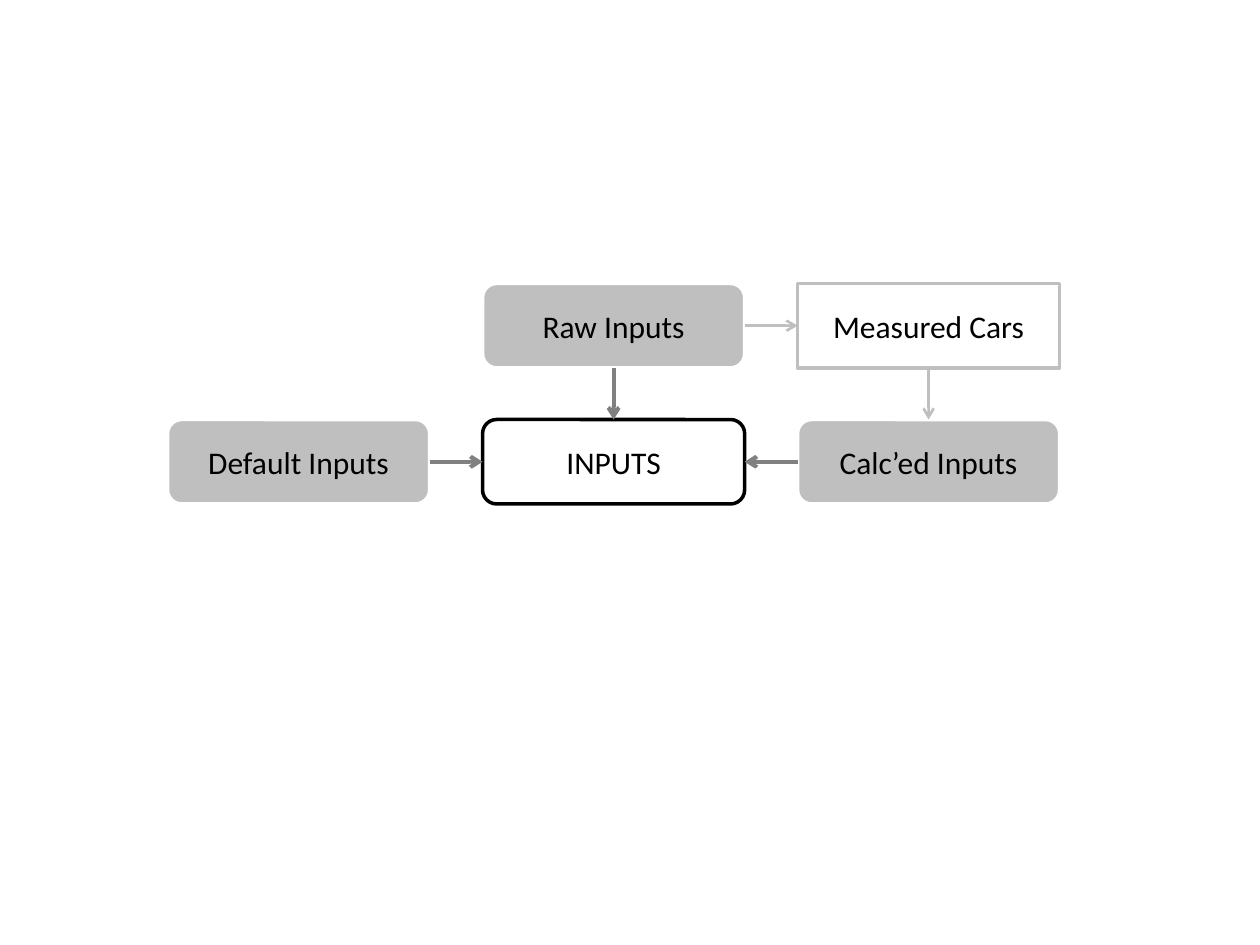
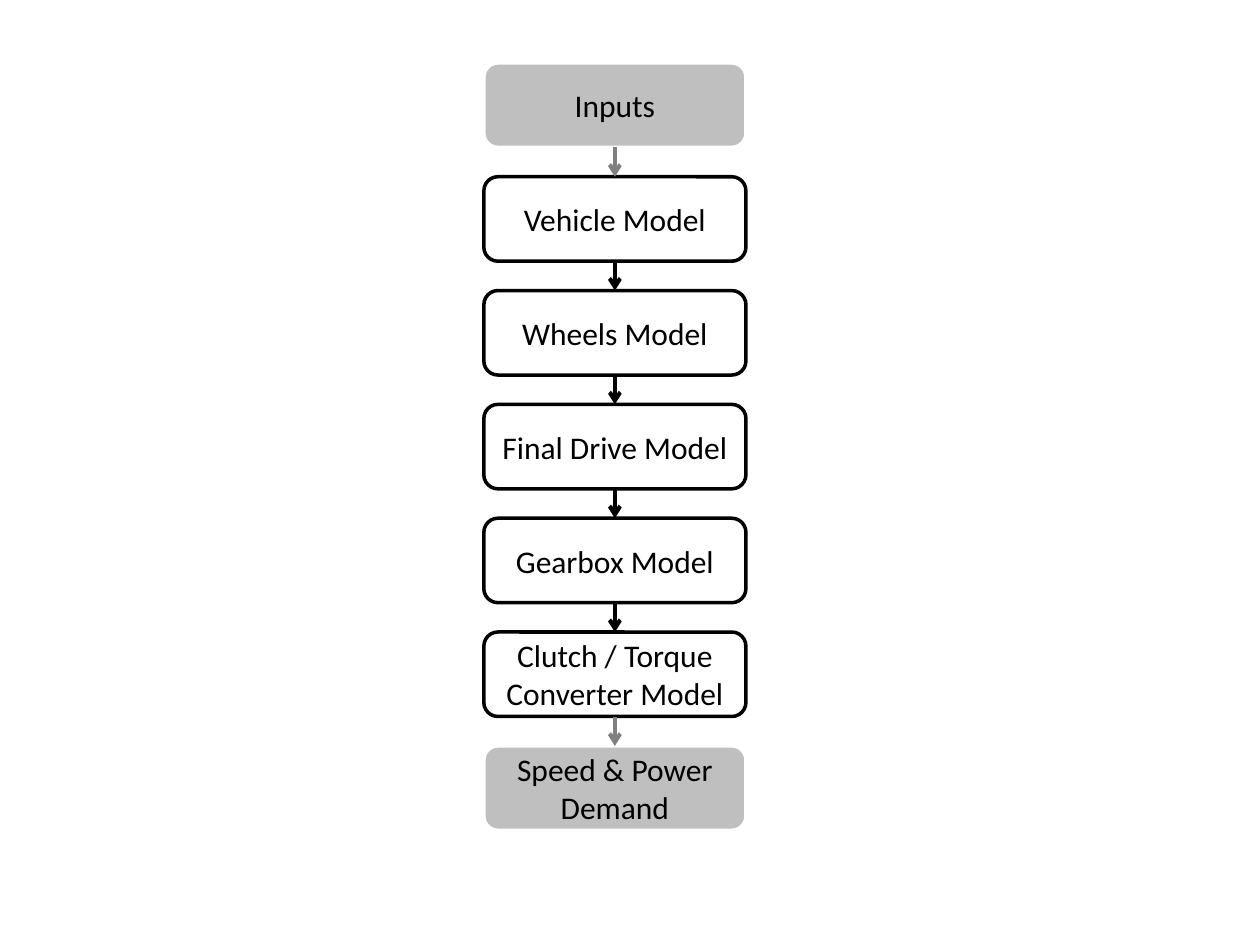
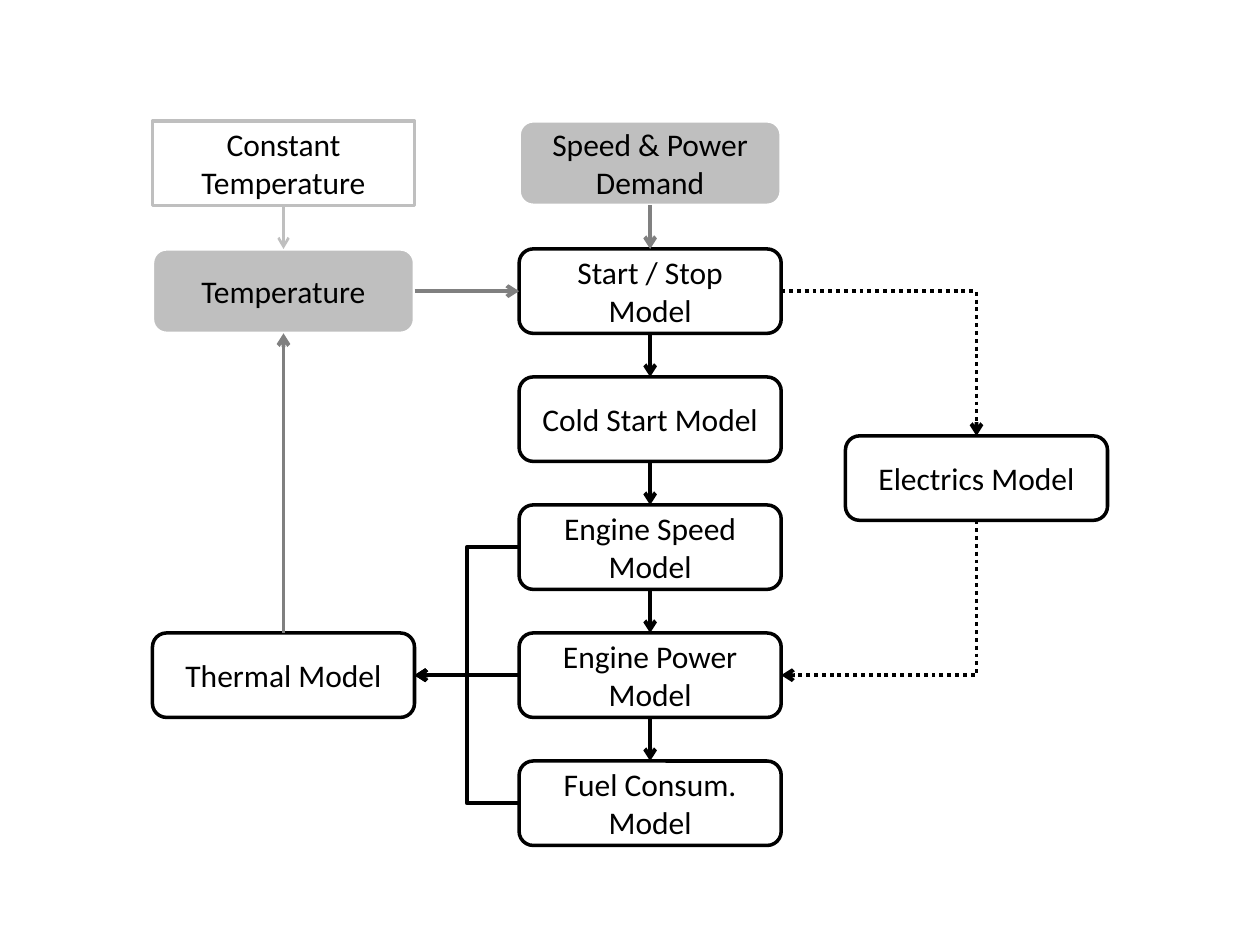
import pptx
import pptx.util
import pptx.dml.color
import pptx.enum.dml
import pptx.enum.shapes
import pptx.enum.text
import pptx.oxml.ns
from lxml import etree

Inches = pptx.util.Inches
Kind = pptx.enum.shapes.MSO_SHAPE
Wire = pptx.enum.shapes.MSO_CONNECTOR

BLACK, WHITE = "000000", "FFFFFF"
GREY, PALE = "808080", "BFBFBF"
FONT = "Calibri"
WIDE, HIGH = 2.08, 0.67
STYLES = {
    "model": (Kind.ROUNDED_RECTANGLE, WHITE, BLACK),
    "data": (Kind.ROUNDED_RECTANGLE, PALE, WHITE),
    "option": (Kind.RECTANGLE, WHITE, PALE),
}
SITES = {"top": 0, "left": 1, "bottom": 2, "right": 3}


def tint(code):
    return pptx.dml.color.RGBColor.from_string(code)


def add_box(slide, text, left, top, style="model"):
    kind, fill, edge = STYLES[style]
    box = slide.shapes.add_shape(
        kind, Inches(left), Inches(top), Inches(WIDE), Inches(HIGH))
    box.shadow.inherit = False
    box.fill.solid()
    box.fill.fore_color.rgb = tint(fill)
    box.line.color.rgb = tint(edge)
    box.line.width = pptx.util.Pt(2)
    frame = box.text_frame
    frame.text = text
    frame.word_wrap = True
    frame.vertical_anchor = pptx.enum.text.MSO_ANCHOR.MIDDLE
    para = frame.paragraphs[0]
    para.alignment = pptx.enum.text.PP_ALIGN.CENTER
    font = para.runs[0].font
    font.name = FONT
    font.size = pptx.util.Pt(18)
    font.color.rgb = tint(BLACK)
    return box


def add_stack(slide, items, left, top, step):
    return [add_box(slide, text, left, top + row * step, style)
            for row, (text, style) in enumerate(items)]


def dress(line, color, width):
    line.line.color.rgb = tint(color)
    line.line.width = pptx.util.Pt(width)
    etree.SubElement(line.line._get_or_add_ln(),
                     pptx.oxml.ns.qn("a:tailEnd"), type="arrow")
    etree.SubElement(line._element.spPr, pptx.oxml.ns.qn("a:effectLst"))


def link(slide, start, side, end, face, color=BLACK, width=2.25):
    line = slide.shapes.add_connector(Wire.STRAIGHT, 0, 0, 0, 0)
    line.begin_connect(start, SITES[side])
    line.end_connect(end, SITES[face])
    dress(line, color, width)


def chain(slide, boxes, colors):
    for start, end, color in zip(boxes, boxes[1:], colors):
        link(slide, start, "bottom", end, "top", color)


def spot(box, side):
    mid_x, mid_y = box.left + box.width // 2, box.top + box.height // 2
    return {"top": (mid_x, box.top),
            "left": (box.left, mid_y),
            "bottom": (mid_x, box.top + box.height),
            "right": (box.left + box.width, mid_y)}[side]


def bend(slide, start, end):
    line = slide.shapes.add_connector(Wire.ELBOW, *start, *end)
    dress(line, BLACK, 2.25)
    return line


def add_corner(slide, start, end, turn=False):
    if turn:
        mid_x, mid_y = (start[0] + end[0]) // 2, (start[1] + end[1]) // 2
        half_x, half_y = abs(end[1] - start[1]) // 2, abs(end[0] - start[0]) // 2
        start = mid_x - half_x, mid_y - half_y
        end = mid_x + half_x, mid_y + half_y
    line = bend(slide, start, end)
    line.line.dash_style = pptx.enum.dml.MSO_LINE.ROUND_DOT
    shape = line._element.spPr
    shape.find(pptx.oxml.ns.qn("a:prstGeom")).set("prst", "bentConnector2")
    if turn:
        shape.find(pptx.oxml.ns.qn("a:xfrm")).set("rot", "5400000")


def draw_inputs(slide):
    cols = [1.33 + 2.5 * col for col in range(3)]
    upper, lower = 2.25, 3.33
    main_box = add_box(slide, "INPUTS", cols[1], lower)
    raw = add_box(slide, "Raw Inputs", cols[1], upper, "data")
    base = add_box(slide, "Default Inputs", cols[0], lower, "data")
    calc = add_box(slide, "Calc’ed Inputs", cols[2], lower, "data")
    cars = add_box(slide, "Measured Cars", cols[2], upper, "option")
    link(slide, raw, "bottom", main_box, "top", GREY)
    link(slide, calc, "left", main_box, "right", GREY)
    link(slide, base, "right", main_box, "left", GREY)
    link(slide, raw, "right", cars, "left", PALE, 1.5)
    link(slide, cars, "bottom", calc, "top", PALE, 1.5)


def draw_demand(slide):
    boxes = add_stack(slide, [
        ("Inputs", "data"),
        ("Vehicle Model", "model"),
        ("Wheels Model", "model"),
        ("Final Drive Model", "model"),
        ("Gearbox Model", "model"),
        ("Clutch / Torque Converter Model", "model"),
        ("Speed & Power Demand", "data"),
    ], 3.84, 0.5, 5.42 / 6)
    chain(slide, boxes, [GREY] + [BLACK] * 4 + [GREY])


def draw_engine(slide):
    left, top, step = 1.21, 0.96, 5.08 / 5
    boxes = add_stack(slide, [
        ("Speed & Power Demand", "data"),
        ("Start / Stop Model", "model"),
        ("Cold Start Model", "model"),
        ("Engine Speed Model", "model"),
        ("Engine Power Model", "model"),
        ("Fuel Consum. Model", "model"),
    ], 4.12, top, step)
    start, speed, power, fuel = boxes[1], *boxes[3:]
    fixed, temp = add_stack(slide, [
        ("Constant Temperature", "option"),
        ("Temperature", "data"),
    ], left, top, step)
    heat = add_box(slide, "Thermal Model", left, top + 4 * step)
    grid = add_box(slide, "Electrics Model", 6.71, 3.46)

    chain(slide, boxes, [GREY] + [BLACK] * 4)
    link(slide, fixed, "bottom", temp, "top", PALE, 1.5)
    link(slide, temp, "right", start, "left", GREY)
    link(slide, heat, "top", temp, "bottom", GREY)
    link(slide, power, "left", heat, "right")
    for box in (speed, fuel):
        bend(slide, spot(box, "left"), spot(heat, "right"))
    add_corner(slide, spot(start, "right"), spot(grid, "top"))
    add_corner(slide, spot(grid, "bottom"), spot(power, "right"), turn=True)


def main():
    deck = pptx.Presentation()
    deck.slide_width, deck.slide_height = Inches(10), Inches(7.5)
    for draw in (draw_inputs, draw_demand, draw_engine):
        draw(deck.slides.add_slide(deck.slide_layouts[6]))
    deck.save("out.pptx")


if __name__ == "__main__":
    main()
